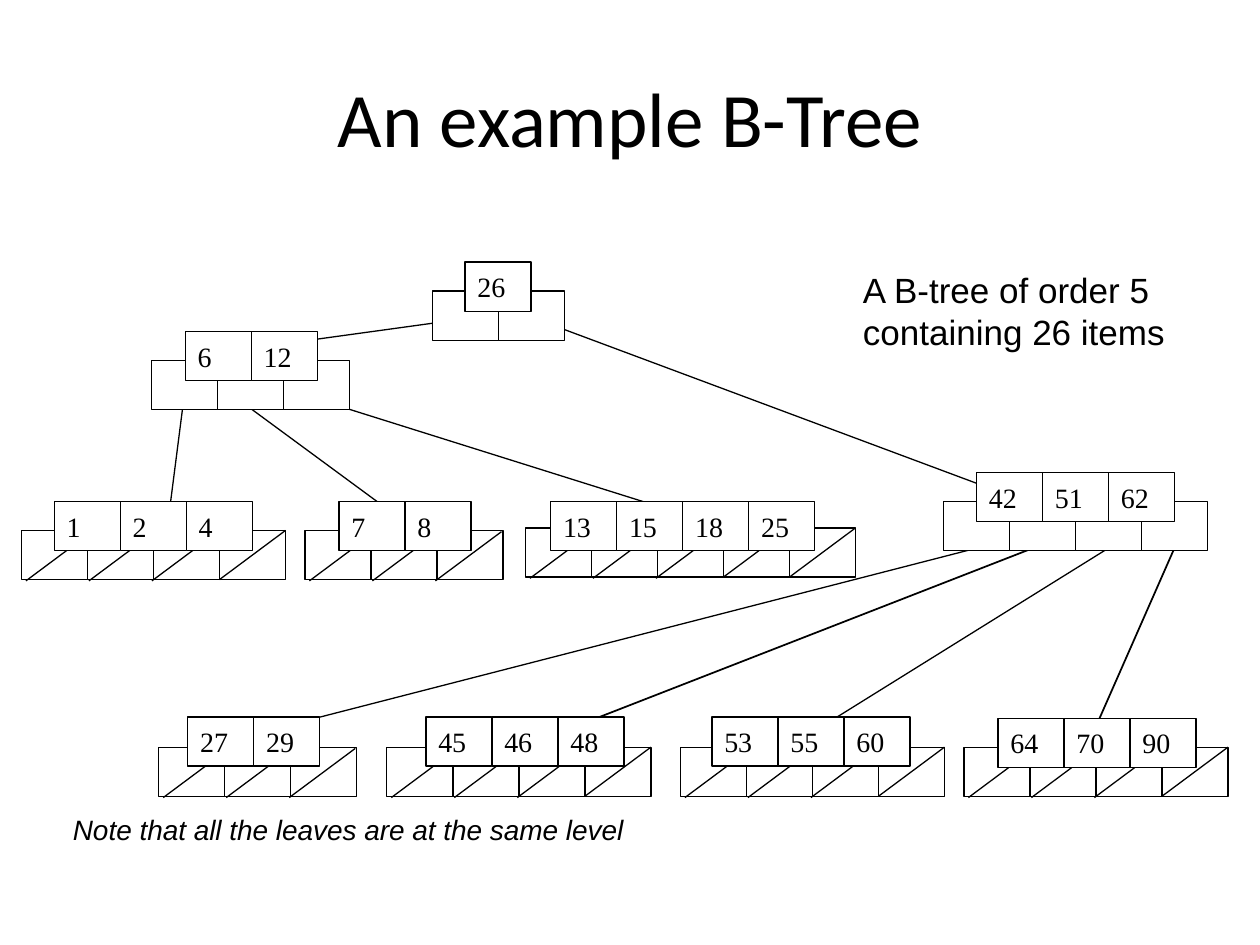
"""Build a slide with an example B-tree of order 5."""
from lxml import etree
from pptx import Presentation
from pptx.dml.color import RGBColor
from pptx.enum.shapes import MSO_CONNECTOR as Connector, MSO_SHAPE as Preset
from pptx.enum.text import MSO_ANCHOR as Anchor, PP_ALIGN as Align
from pptx.oxml.ns import qn
from pptx.util import Inches, Pt

BLACK, WHITE = "000000", "FFFFFF"
CELL_WIDTH, CELL_HEIGHT = 0.524, 0.39
SLASH_START, SLASH_STEP = 0.56, 0.5


def color(hex_text):
    return RGBColor.from_string(hex_text)


def draw(parent, start, end, kind="line", weight=0.75):
    (x1, y1), (x2, y2) = start, end
    if kind == "line":
        item = parent.add_connector(Connector.STRAIGHT, *map(Inches, (x1, y1, x2, y2)))
        etree.SubElement(item._element.spPr, qn("a:effectLst"))
    else:
        item = parent.add_shape(Preset.RECTANGLE, *map(Inches, (x1, y1, x2 - x1, y2 - y1)))
        item.shadow.inherit = False
        item.fill.solid()
        item.fill.fore_color.rgb = color(WHITE)
    item.line.color.rgb = color(BLACK)
    item.line.width = Pt(weight)
    return item


deck = Presentation()
deck.slide_width, deck.slide_height = Inches(10), Inches(7.5)
slide = deck.slides.add_slide(deck.slide_layouts[5])
shapes = slide.shapes

title = shapes.title
title.left, title.top, title.width, title.height = map(Inches, (0.5, 0.3, 9, 1.25))
title.text_frame.text = "An example B-Tree"
title.text_frame.vertical_anchor = Anchor.MIDDLE
heading = title.text_frame.paragraphs[0]
heading.alignment = Align.CENTER
heading.runs[0].font.size = Pt(44)
heading.runs[0].font.name = "Calibri"
heading.runs[0].font.color.rgb = color(BLACK)

branches = [
    ((3.69, 2.53), (1.73, 2.8), 0.75),
    ((4.17, 2.5), (8.54, 4.13), 0.75),
    ((2.3, 3.1), (5.42, 4.08), 0.75),
    ((2, 3.25), (3.25, 4.17), 0.75),
    ((1.47, 3.08), (1.33, 4.17), 0.75),
    ((7.83, 4.33), (2, 5.83), 0.75),
    ((8.25, 4.33), (4.17, 5.92), 1),
    ((8.83, 4.33), (6.42, 5.83), 0.75),
    ((9.33, 4.33), (8.67, 5.83), 1),
]
for parent_end, child_end, weight in branches:
    draw(shapes, parent_end, child_end, weight=weight)

nodes = [
    ([26], (3.69, 2.08), (3.43, 2.31), False),
    ([6, 12], (1.47, 2.63), (1.2, 2.86), False),
    ([42, 51, 62], (7.75, 3.75), (7.49, 3.98), False),
    ([1, 2, 4], (0.43, 3.98), (0.17, 4.21), True),
    ([7, 8], (2.69, 3.98), (2.42, 4.21), True),
    ([13, 15, 18, 25], (4.37, 3.98), (4.17, 4.19), True),
    ([27, 29], (1.49, 5.69), (1.26, 5.93), True),
    ([45, 46, 48], (3.38, 5.69), (3.07, 5.93), True),
    ([53, 55, 60], (5.65, 5.69), (5.4, 5.93), True),
    ([64, 70, 90], (7.92, 5.7), (7.65, 5.93), True),
]
for keys, (key_left, key_top), (left, top), is_leaf in nodes:
    pointers = shapes.add_group_shape().shapes if is_leaf else shapes
    child_count = len(keys) + 1
    for column in range(child_count):
        x = left + column * CELL_WIDTH
        draw(pointers, (x, top), (x + CELL_WIDTH, top + CELL_HEIGHT), "cell")
    for column in range(child_count if is_leaf else 0):
        if column < 3:
            x, y = left + SLASH_START + column * SLASH_STEP, top + 0.01
        else:
            x, y = left + (column + 1) * CELL_WIDTH, top
        draw(pointers, (x, y), (x - CELL_WIDTH, y + CELL_HEIGHT))
    for column, key in enumerate(keys):
        x = key_left + column * CELL_WIDTH
        cell = draw(shapes, (x, key_top), (x + CELL_WIDTH, key_top + CELL_HEIGHT), "cell")
        cell.text_frame.text = str(key)
        cell.text_frame.vertical_anchor = Anchor.MIDDLE
        label = cell.text_frame.paragraphs[0]
        label.alignment = Align.LEFT
        label.runs[0].font.size = Pt(16)
        label.runs[0].font.name = "Times New Roman"
        label.runs[0].font.color.rgb = color(BLACK)

remarks = [
    ("A B-tree of order 5 containing 26 items", (6.75, 2.08, 2.92, 0.77), 20, False, True),
    ("Note that all the leaves are at the same level", (0.48, 6.4, 4.59, 0.37), 16, True, False),
]
for wording, bounds, size, italic, wraps in remarks:
    remark = shapes.add_textbox(*map(Inches, bounds)).text_frame
    remark.word_wrap = wraps
    remark.text = wording
    font = remark.paragraphs[0].runs[0].font
    font.size, font.name, font.italic = Pt(size), "Arial", italic
    font.color.rgb = color(BLACK)

deck.save("out.pptx")
